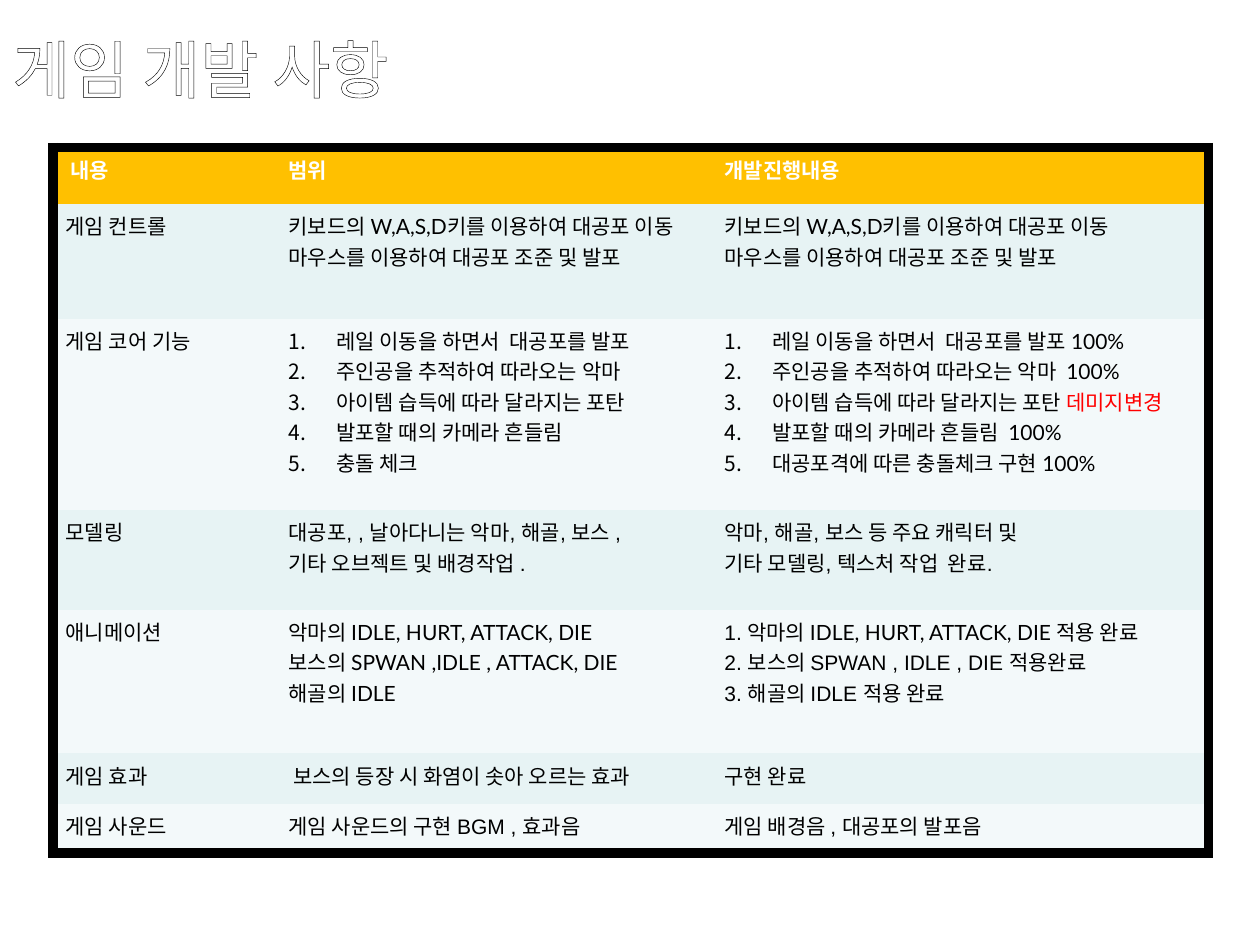
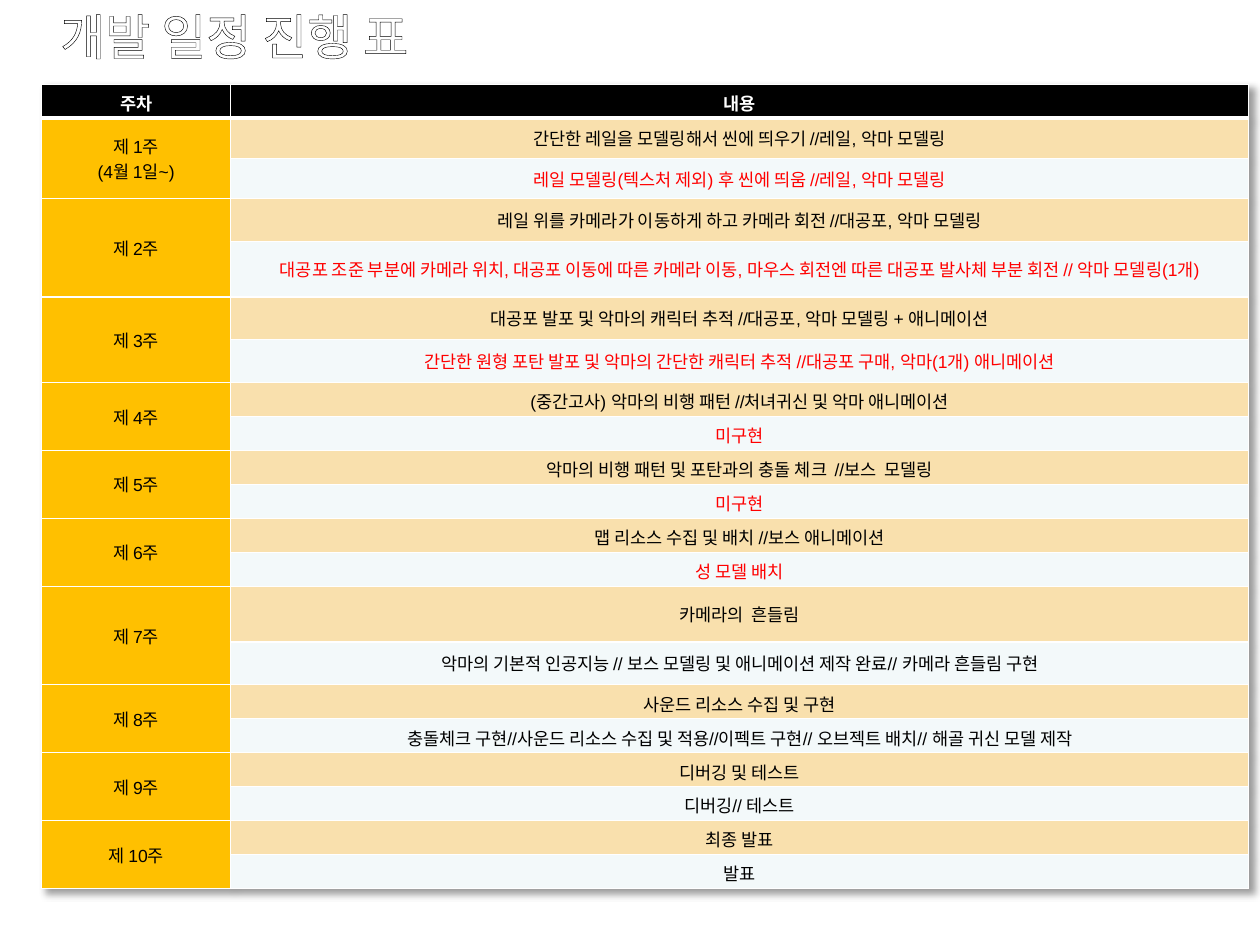
from lxml import etree
from pptx import Presentation, util as u
from pptx.dml.color import RGBColor
from pptx.enum import text
from pptx.oxml.ns import qn

COLS, ROWS = 10, 7.5
UNIT = u.Inches(1)
SANS, LATO, KOREAN = "Arial", "Lato", "Noto Sans CJK KR"
BLACK, WHITE, RED, GOLD = "000000", "FFFFFF", "FF0000", "FFC000"
MINT, PALE, SAND = "E7F3F4", "F3F9FA", "F9E0AD"
MID = text.MSO_ANCHOR.MIDDLE
TOP = text.MSO_ANCHOR.TOP

HEADS = [" 내용", "범위", "개발진행내용"]
MOVES = ["키보드의 W,A,S,D키를 이용하여 대공포 이동",
         "마우스를 이용하여 대공포 조준 및 발포"]
CORE = ["레일 이동을 하면서  대공포를 발포", "주인공을 추적하여 따라오는 악마",
        "아이템 습득에 따라 달라지는 포탄", "발포할 때의 카메라 흔들림", "충돌 체크"]
DONE = ["레일 이동을 하면서  대공포를 발포 100%",
        "주인공을 추적하여 따라오는 악마  100%",
        [("아이템 습득에 따라 달라지는 포탄 ", LATO, BLACK), ("데미지변경", LATO, RED)],
        "발포할 때의 카메라 흔들림  100%", "대공포격에 따른 충돌체크 구현 100%"]
TASKS = [
    (0.91, LATO, ["게임 컨트롤"], MOVES, MOVES),
    (1.52, LATO, ["게임 코어 기능"], CORE, DONE),
    (0.79, SANS, ["모델링"],
     ["대공포, , 날아다니는 악마, 해골, 보스 ,", "기타 오브젝트 및 배경작업 ."],
     ["악마, 해골, 보스 등 주요 캐릭터 및", "기타 모델링, 텍스처 작업  완료."]),
    (1.14, SANS, ["애니메이션"],
     [[(line, LATO, BLACK)] for line in (
         "악마의 IDLE, HURT, ATTACK, DIE",
         "보스의 SPWAN ,IDLE , ATTACK, DIE", "해골의 IDLE")],
     [[("1.", SANS, BLACK), (" 악마의 IDLE, HURT, ATTACK, DIE 적용 완료", LATO, BLACK)],
      "2. 보스의 SPWAN , IDLE , DIE 적용완료", "3. 해골의 IDLE 적용 완료"]),
    (0.4, SANS, ["게임 효과"], [" 보스의 등장 시 화염이 솟아 오르는 효과"], ["구현 완료"]),
    (0.39, SANS, ["게임 사운드"], ["게임 사운드의 구현 BGM , 효과음"],
     ["게임 배경음 , 대공포의 발포음"]),
]

WEEKS = [
    (0.32, 0.32, "간단한 레일을 모델링해서 씬에 띄우기 //레일, 악마 모델링",
     "레일 모델링(텍스처 제외) 후 씬에 띄움 //레일, 악마 모델링"),
    (0.34, 0.44, "레일 위를 카메라가 이동하게 하고 카메라 회전 //대공포, 악마 모델링",
     "대공포 조준 부분에 카메라 위치, 대공포 이동에 따른 카메라 이동, "
     "마우스 회전엔 따른 대공포 발사체 부분 회전 // 악마 모델링(1개)"),
    (0.34, 0.34, "대공포 발포 및 악마의 캐릭터 추적 //대공포, 악마 모델링 + 애니메이션",
     "간단한 원형 포탄 발포 및 악마의 간단한 캐릭터 추적 //대공포 구매, 악마(1개) 애니메이션"),
    (0.27, 0.27, "(중간고사) 악마의 비행 패턴 //처녀귀신 및 악마 애니메이션", "미구현"),
    (0.27, 0.27, "악마의 비행 패턴 및 포탄과의 충돌 체크  //보스  모델링", "미구현"),
    (0.27, 0.27, "맵 리소스 수집 및 배치 //보스 애니메이션", "성 모델 배치"),
    (0.44, 0.34, "카메라의  흔들림",
     "악마의 기본적 인공지능 // 보스 모델링 및 애니메이션 제작 완료// 카메라 흔들림 구현"),
    (0.27, 0.27, "사운드 리소스 수집 및 구현",
     "충돌체크 구현//사운드 리소스 수집 및 적용//이펙트 구현// 오브젝트 배치// 해골 귀신 모델 제작"),
    (0.27, 0.27, "디버깅 및 테스트", "디버깅// 테스트"),
    (0.27, 0.27, "최종 발표", "발표"),
]
RED_WEEKS = 6


def grid(*sizes):
    return [int(size * UNIT) for size in sizes]


def tint(hue):
    return RGBColor.from_string(hue)


def node(base, tag, **attrs):
    return etree.SubElement(base, qn(tag), attrs)


def ink(base, hue):
    return node(node(base, "a:solidFill"), "a:srgbClr", val=hue)


def style(font, face, size, hue, bold=False):
    font.name, font.size, font.bold = face, u.Pt(size), bold
    font.color.rgb = tint(hue)


def title(slide, box, words, size, edge, anchor):
    frame = slide.shapes.add_textbox(*grid(*box)).text_frame
    frame.word_wrap, frame.vertical_anchor = True, anchor
    run = frame.paragraphs[0].add_run()
    run.text = words
    style(run.font, KOREAN, size, WHITE)
    props = run._r.get_or_add_rPr()
    node(props, "a:ea", typeface=KOREAN)
    line = etree.Element(qn("a:ln"), w=str(u.Pt(edge)))
    ink(line, BLACK)
    props.insert(0, line)


def border(cell, **sides):
    props = cell._tc.get_or_add_tcPr()
    for spot, side in enumerate("LRTB"):
        width, hue = sides.get(side, (0, None))
        line = etree.Element(qn("a:ln" + side), w=str(u.Pt(width)))
        if width:
            ink(line, hue)
        else:
            node(line, "a:noFill")
        props.insert(spot, line)


def fill(cell, lines, face, size, hue, back, bold=False, center=False, count=False):
    cell.fill.solid()
    cell.fill.fore_color.rgb = tint(back)
    if center:
        cell.vertical_anchor = MID
    frame = cell.text_frame
    for index, line in enumerate(lines):
        para = frame.paragraphs[0] if index == 0 else frame.add_paragraph()
        if center:
            para.alignment = text.PP_ALIGN.CENTER
        if count:
            props = para._p.get_or_add_pPr()
            props.set("marL", str(u.Inches(0.38)))
            props.set("indent", str(-u.Inches(0.38)))
            node(props, "a:buFont", typeface="+mj-lt")
            node(props, "a:buAutoNum", type="arabicPeriod")
        if isinstance(line, str):
            para.add_run().text = line
            style(para.font, face, size, hue, bold)
            continue
        for words, kind, shade in line:
            run = para.add_run()
            run.text = words
            style(run.font, kind, size, shade, bold)


def sheet(slide, box, widths, heights):
    frame = slide.shapes.add_table(len(heights), len(widths), *grid(*box))
    table = frame.table
    table.first_row = table.horz_banding = False
    for col, width in zip(table.columns, grid(*widths)):
        col.width = width
    for row, height in zip(table.rows, grid(*heights)):
        row.height = height
    return table


def shade(table):
    props = table._tbl.tblPr
    glow = etree.Element(qn("a:effectLst"))
    drop = node(glow, "a:outerShdw", blurRad="50800", dist="50800",
                dir="2700000", algn="tl", rotWithShape="0")
    node(node(drop, "a:prstClr", val="black"), "a:alpha", val="40000")
    props.insert(0, glow)


def scope(slide, box):
    heights = [0.45] + [task[0] for task in TASKS]
    table = sheet(slide, box, [1.77, 3.46, 3.94], heights)
    rim = (6, BLACK)
    for r in range(len(heights)):
        for c in range(len(HEADS)):
            cell = table.cell(r, c)
            if r == 0:
                fill(cell, [HEADS[c]], SANS, 12, WHITE, GOLD, bold=True)
            else:
                _, face, *parts = TASKS[r - 1]
                fill(cell, parts[c], face, 12, BLACK, MINT if r % 2 else PALE,
                     count=parts[c] in (CORE, DONE))
            edges = {"L": c == 0, "R": c == len(HEADS) - 1,
                     "T": r == 0, "B": r == len(TASKS)}
            border(cell, **{side: rim for side, on in edges.items() if on})


def plan(slide, box):
    heights = [0.17] + [size for week in WEEKS for size in week[:2]]
    table = sheet(slide, box, [1.5, 8.08], heights)
    shade(table)
    for c, head in enumerate(["주차", "내용"]):
        fill(table.cell(0, c), [head], SANS, 10, WHITE, BLACK, bold=True, center=True)
    for index, (_, _, goal, result) in enumerate(WEEKS):
        r = 1 + 2 * index
        label = [f"제 {index + 1}주"] + (["(4월 1일~)"] if index == 0 else [])
        hue = RED if index < RED_WEEKS else BLACK
        table.cell(r, 0).merge(table.cell(r + 1, 0))
        fill(table.cell(r, 0), label, SANS, 10, BLACK, GOLD, center=True)
        fill(table.cell(r, 1), [goal], SANS, 10, BLACK, SAND, center=True)
        fill(table.cell(r + 1, 1), [result], SANS, 10, hue, PALE, center=True)
    thin, thick = (1, WHITE), (3, WHITE)
    for r in range(len(heights)):
        for c in range(2):
            border(table.cell(r, c), L=thin, R=thin,
                   T=thick if r == 1 else thin, B=thick if r == 0 else thin)


def main():
    deck = Presentation()
    deck.slide_width, deck.slide_height = grid(COLS, ROWS)
    first, second = [deck.slides.add_slide(deck.slide_layouts[6]) for _ in range(2)]
    title(first, (0, 0, COLS, 1.08), "게임 개발 사항", 36, 0.75, MID)
    scope(first, (0.42, 1.17, 9.17, 5.6))
    plan(second, (0.33, 0.67, 9.58, 6.35))
    title(second, (0.38, 0, 6.08, 0.57), "개발 일정 진행 표", 28, 1, TOP)
    deck.save("out.pptx")


if __name__ == "__main__":
    main()
